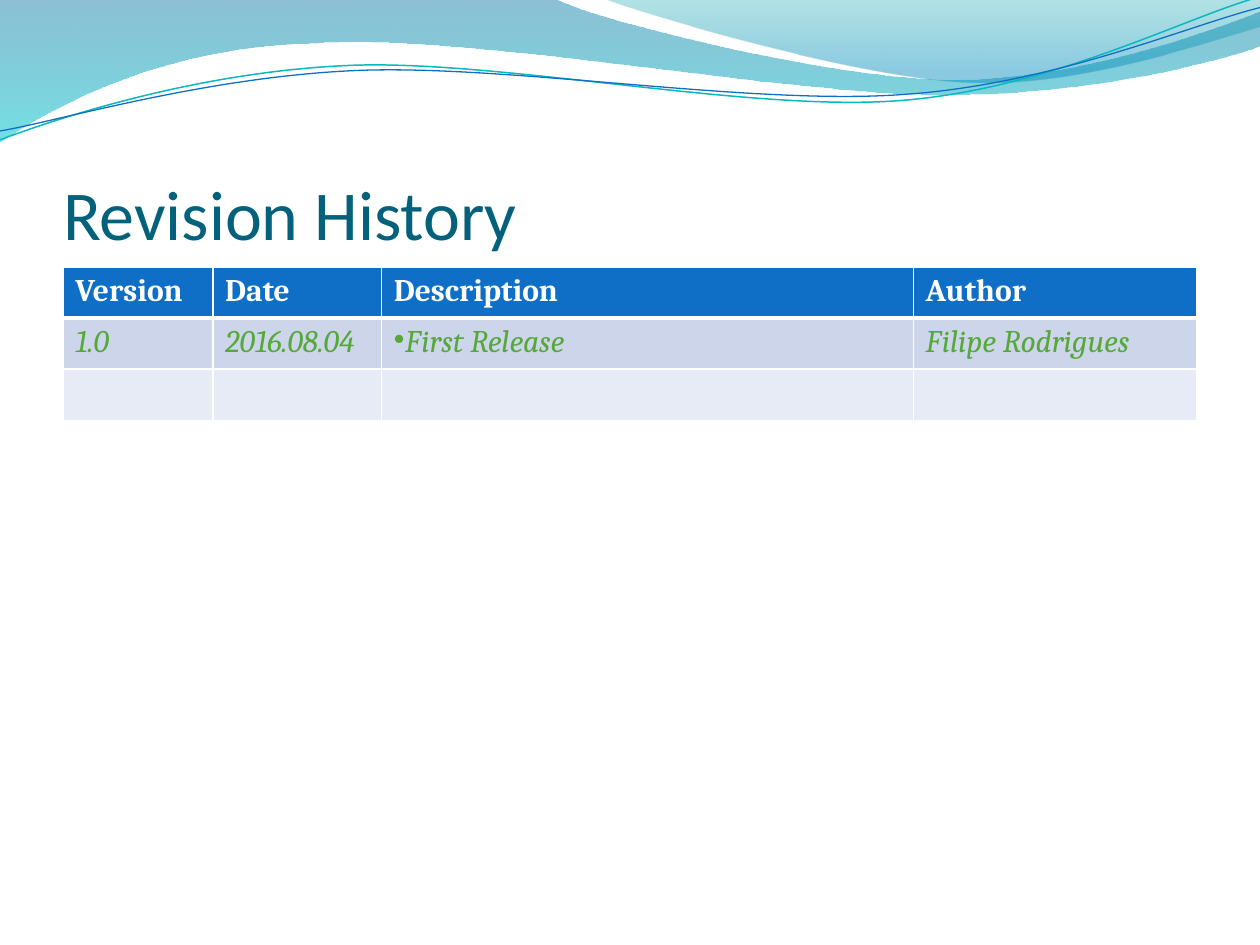
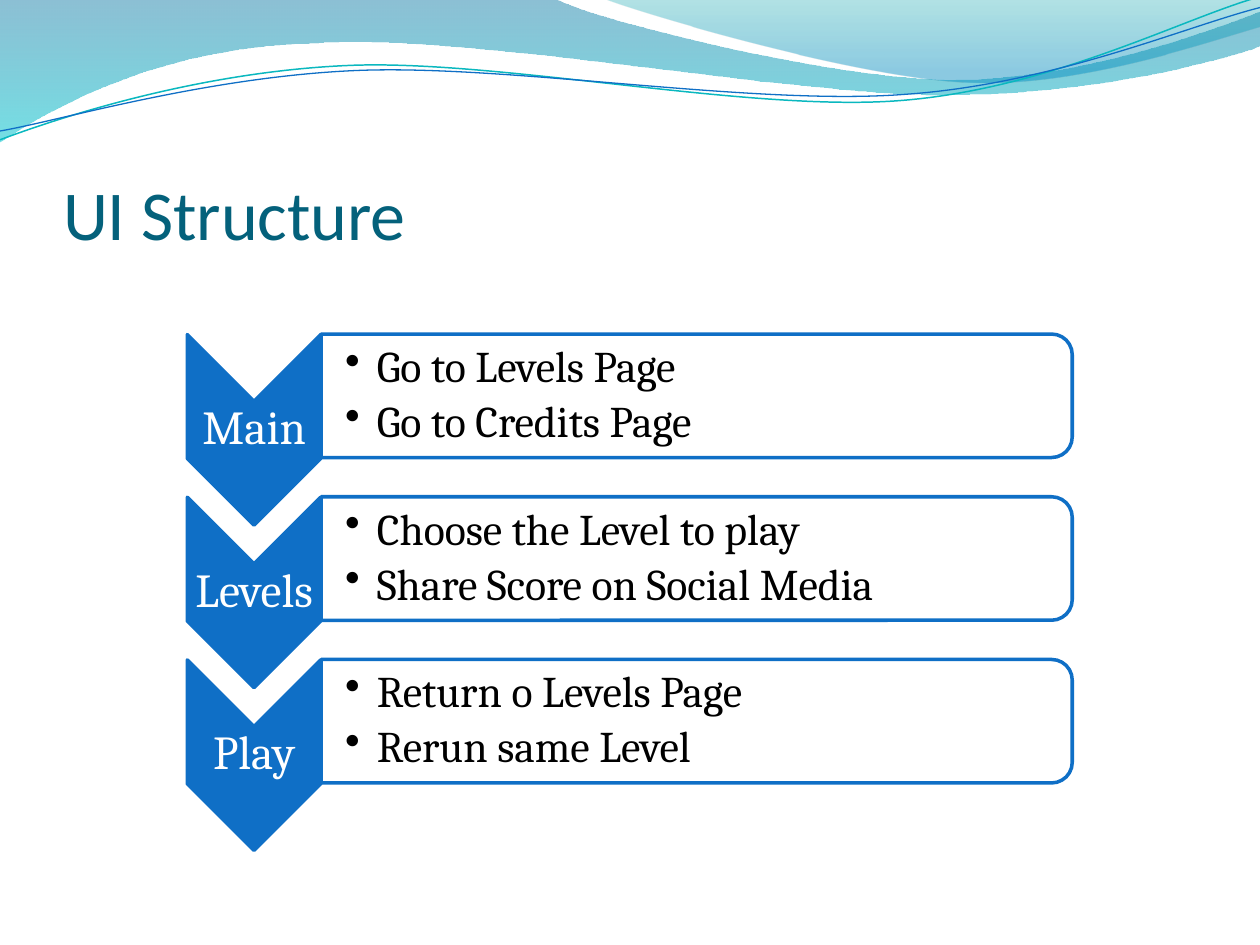
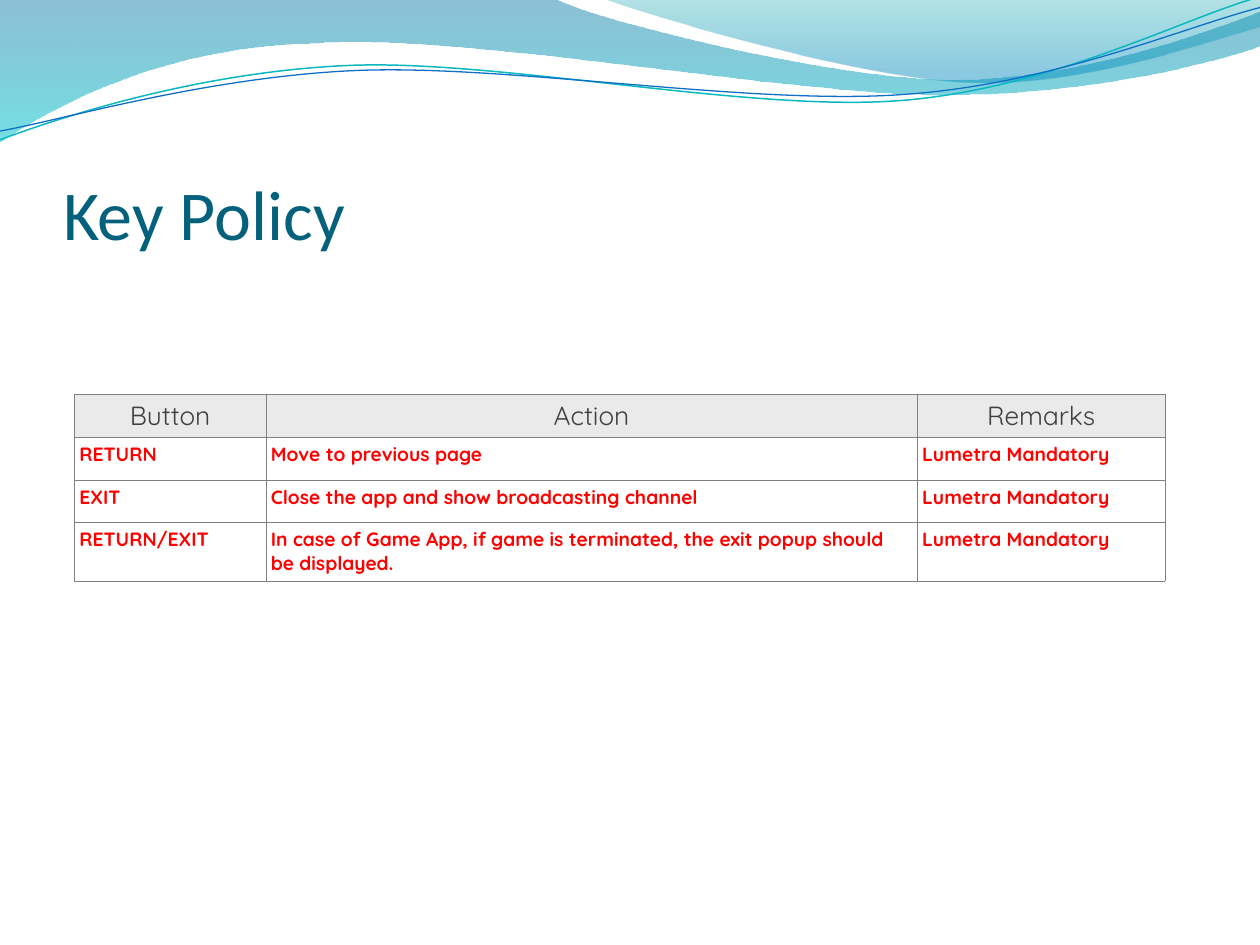
import dataclasses

import lxml.etree
import pptx
import pptx.dml.color
import pptx.enum.shapes
import pptx.enum.text
import pptx.oxml.ns
import pptx.util

Cm = pptx.util.Cm
Pt = pptx.util.Pt
RGB = pptx.dml.color.RGBColor.from_string
SHAPE = pptx.enum.shapes.MSO_SHAPE
ALIGN = pptx.enum.text.PP_ALIGN
ANCHOR = pptx.enum.text.MSO_ANCHOR
qn = pptx.oxml.ns.qn
Sub = lxml.etree.SubElement


@dataclasses.dataclass(frozen=True)
class Theme:
    """Colours, fonts and type sizes of the deck."""
    blue: str = "0F6FC6"
    teal: str = "0AB8BF"
    head: str = "04617B"
    green: str = "55A839"
    red: str = "FF0000"
    white: str = "FFFFFF"
    black: str = "000000"
    dark: str = "404040"
    gray: str = "808080"
    pale: str = "EAEAEA"
    band: str = "CCD5EA"
    light: str = "E7EBF5"
    sans: str = "Calibri"
    serif: str = "Cambria"
    round: str = "Quicksand"
    title: int = 40
    label: int = 27
    list: int = 25
    cell: int = 18
    top: int = 15
    small: int = 11


look = Theme()


def text(frame, lines, size, color, font, bold=False, italic=False,
         align=ALIGN.LEFT, anchor=ANCHOR.TOP, inset=None, indent=0,
         pitch=None, after=None):
    """Fill a text frame; a line that starts with a bullet becomes a list item."""
    frame.word_wrap = True
    frame.vertical_anchor = anchor
    if inset:
        (frame.margin_left, frame.margin_top,
         frame.margin_right, frame.margin_bottom) = [Cm(n) for n in inset]
    for i, line in enumerate(lines):
        para = frame.add_paragraph() if i else frame.paragraphs[0]
        para.alignment, para.line_spacing = align, pitch
        if after:
            para.space_after = Pt(after)
        if line.startswith("•"):
            props = para._p.get_or_add_pPr()
            props.set("marL", str(Cm(indent)))
            props.set("indent", str(-Cm(indent)))
            Sub(props, qn("a:buChar"), char="•")
        run = para.add_run()
        run.text = line.lstrip("•")
        run.font.size, run.font.name = Pt(size), font
        run.font.bold, run.font.italic = bold, italic
        run.font.color.rgb = RGB(color)


def grid(slide, left, top, cols, rows, line, inset):
    """Add a table; a row is its height, fill, edge widths, text format and words."""
    high = sum(row[0] for row in rows)
    table = slide.shapes.add_table(len(rows), len(cols), Cm(left), Cm(top),
                                   Cm(sum(cols)), Cm(high)).table
    table.first_row = table.horz_banding = False
    for col, wide in zip(table.columns, cols):
        col.width = Cm(wide)
    for y, (tall, fill, edges, form, words) in enumerate(rows):
        table.rows[y].height = Cm(tall)
        for x, word in enumerate(words):
            cell = table.cell(y, x)
            props = cell._tc.get_or_add_tcPr()
            for side, wide in zip("LRTB", edges):
                edge = Sub(props, qn("a:ln" + side), w=str(Pt(wide)))
                if wide:
                    Sub(Sub(edge, qn("a:solidFill")), qn("a:srgbClr"), val=line)
                else:
                    Sub(edge, qn("a:noFill"))
            if fill:
                cell.fill.solid()
                cell.fill.fore_color.rgb = RGB(fill)
            else:
                cell.fill.background()
            (cell.margin_left, cell.margin_top,
             cell.margin_right, cell.margin_bottom) = [Cm(n) for n in inset]
            if word:
                text(cell.text_frame, [word], **form)


deck = pptx.Presentation()
deck.slide_width, deck.slide_height = Cm(25.4), Cm(19.05)
plan = deck.slide_layouts[5]
spot = plan.placeholders[0]
spot.left, spot.top, spot.width, spot.height = Cm(1.27), Cm(1.96), Cm(22.86), Cm(3.18)

pages = []
for name in ("Revision History", "UI Structure", "Key Policy"):
    page = deck.slides.add_slide(plan)
    frame = page.shapes.title.text_frame
    frame.auto_size = pptx.enum.text.MSO_AUTO_SIZE.NONE
    text(frame, [name], size=look.title, color=look.head, font=look.sans,
         anchor=ANCHOR.BOTTOM, inset=(0, 0.13, 0, 0))
    pages.append(page)
past, flow, keys = pages

# Waves on the master, in hundredths of an inch: a step of one point is a
# straight line, a step of three points is a curve.
waves = [
    ([(0, 0)], [
        [(440, -1)],
        [(476, 17), (664, 63), (758, 63)], [(853, 63), (958, 26), (1000, 9)],
        [(1001, 36)],
        [(983, 44), (870, 76), (746, 75)], [(622, 75), (382, 28), (257, 34)],
        [(129, 36), (46, 83), (-1, 113)]],
     [(0, "0074A1", 45), (1, "00C6CF", 55)], None, 0),
    ([(479, -1)], [
        [(509, 11), (682, 62), (769, 65)], [(856, 69), (961, 32), (1000, 21)],
        [(1000, 0)]],
     [(0, "00A1A9", 30), (0.8, "008BBF", 45)], None, 0),
    ([(0, 111)], [
        [(48, 93), (158, 57), (277, 52)], [(395, 47), (593, 89), (713, 80)],
        [(833, 71), (938, 15), (998, -2)]],
     None, look.teal, 0.85),
    ([(0, 104)], [
        [(47, 96), (164, 61), (283, 56)], [(403, 51), (597, 84), (717, 75)],
        [(836, 67), (941, 21), (1000, 6)]],
     None, look.blue, 0.75),
]
base = deck.slide_master.shapes.element
for rank, (start, steps, stops, color, wide) in enumerate(waves):
    pen = past.shapes.build_freeform(*start[0], scale=Cm(0.0254))
    pen.add_line_segments(sum(steps, []), close=bool(stops))
    wave = pen.convert_to_shape()
    wave.shadow.inherit = False
    marks = list(wave.element.iter(qn("a:lnTo")))
    for step in steps:
        group, marks = marks[:len(step)], marks[len(step):]
        if len(step) == 3:
            curve = lxml.etree.Element(qn("a:cubicBezTo"))
            group[0].addprevious(curve)
            for mark in group:
                curve.append(mark[0])
                mark.getparent().remove(mark)
    if stops:
        wave.line.fill.background()
        wave.fill.gradient()
        wave.fill.gradient_angle = 270
        for stop, (place, tint, alpha) in zip(wave.fill.gradient_stops, stops):
            stop.position = place
            stop.color.rgb = RGB(tint)
        for tone, (place, tint, alpha) in zip(wave.element.iter(qn("a:gs")), stops):
            Sub(tone[0], qn("a:alpha"), val=str(alpha * 1000))
    else:
        wave.fill.background()
        wave.line.color.rgb = RGB(color)
        wave.line.width = Pt(wide)
    base.insert(2 + rank, wave.element)

# Revision History
plain = dict(size=look.cell, font=look.serif)
lead = dict(plain, color=look.white, bold=True)
entry = dict(plain, color=look.green, italic=True)
grid(past, 1.27, 5.38, (3.02, 3.4, 10.72, 5.72), [
    (1.03, look.blue, (1, 1, 1, 3), lead, ("Version", "Date", "Description", "Author")),
    (1.03, look.band, (1, 1, 3, 1), entry,
     ("1.0", "2016.08.04", "•First Release", "Filipe Rodrigues")),
    (1.03, look.light, (1, 1, 1, 1), entry, ("",) * 4),
], look.white, (0.25, 0.13, 0.25, 0.13))

# UI Structure
parts = [
    ("Main", ["•Go to Levels Page", "•Go to Credits Page"]),
    ("Levels", ["•Choose the Level to play", "•Share Score on Social Media"]),
    ("Play", ["•Return o Levels Page", "•Rerun same Level"]),
]
for i, (name, items) in enumerate(parts):
    drop = i * 3.28
    arrow = flow.shapes.add_shape(SHAPE.CHEVRON, Cm(3.2), Cm(7.32 + drop),
                                  Cm(3.84), Cm(2.69))
    panel = flow.shapes.add_shape(SHAPE.ROUND_2_SAME_RECTANGLE, Cm(12.8),
                                  Cm(0.41 + drop), Cm(2.49), Cm(15.14))
    for shape, color in ((arrow, look.blue), (panel, look.white)):
        shape.rotation = 90
        shape.shadow.inherit = False
        shape.fill.solid()
        shape.fill.fore_color.rgb = RGB(color)
        shape.line.color.rgb = RGB(look.blue)
        shape.line.width = Pt(2)
    tone = next(panel.element.iter(qn("a:srgbClr")))
    Sub(tone, qn("a:alpha"), val="90000")
    label = flow.shapes.add_textbox(Cm(3.78), Cm(8.08 + drop), Cm(2.69), Cm(1.14))
    text(label.text_frame, [name], size=look.label, color=look.white,
         font=look.serif, align=ALIGN.CENTER, anchor=ANCHOR.MIDDLE,
         inset=(0.05,) * 4, pitch=0.9)
    box = flow.shapes.add_textbox(Cm(6.48), Cm(6.86 + drop), Cm(15.04), Cm(2.24))
    text(box.text_frame, items, size=look.list, color=look.black,
         font=look.serif, anchor=ANCHOR.MIDDLE, inset=(0.48, 0.05, 0.05, 0.05),
         indent=0.64, pitch=0.9, after=4.4)

# Key Policy
lead = dict(size=look.top, color=look.dark, font=look.round, align=ALIGN.CENTER)
rule = dict(size=look.small, color=look.red, font=look.round, bold=True)
thin = (0.25,) * 4
note = "Lumetra Mandatory"
grid(keys, 1.5, 6.93, (3.86, 13.13, 5), [
    (1.02, None, (0, 0, 0, 0.25), lead, ("",) * 3),
    (0.86, look.pale, thin, lead, ("Button", "Action", "Remarks")),
    (0.86, look.white, thin, rule, ("RETURN", "Move to previous page", note)),
    (0.86, look.white, thin, rule,
     ("EXIT", "Close the app and show broadcasting channel", note)),
    (1.17, look.white, thin, rule,
     ("RETURN/EXIT", "In case of Game App, if game is terminated, "
      "the exit popup should be displayed.", note)),
], look.gray, (0.1,) * 4)

deck.save("out.pptx")
